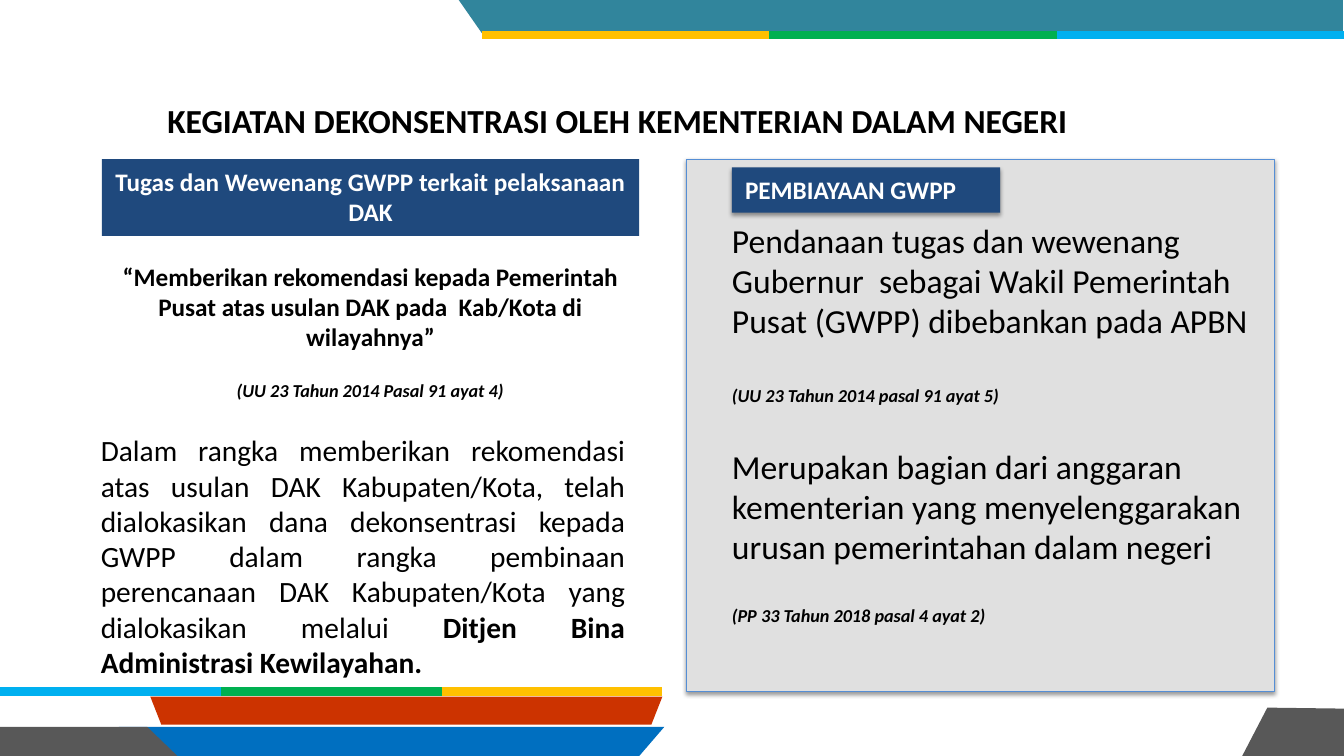
from dataclasses import dataclass

from lxml.etree import SubElement
from pptx import Presentation
from pptx.dml.color import RGBColor
from pptx.enum.shapes import MSO_CONNECTOR, MSO_SHAPE
from pptx.enum.text import MSO_ANCHOR, PP_ALIGN
from pptx.oxml.ns import qn
from pptx.util import Inches, Pt

NAVY, WHITE, BLACK = "1F497D", "FFFFFF", "000000"
AMBER, GREEN, SKY = "FFC000", "00B050", "00B0F0"
Box = tuple[float, float, float, float]


@dataclass
class Band:
    color: str
    points: list[tuple[float, float]]


@dataclass
class Stripe:
    left: float
    y: float
    step: float
    colors: list[str]


@dataclass
class Run:
    text: str
    size: float
    bold: bool = False
    italic: bool = False
    color: str = BLACK


@dataclass
class Passage:
    box: Box
    runs: list[Run]
    align: PP_ALIGN = PP_ALIGN.LEFT


@dataclass
class Heading:
    passage: Passage
    shadow: bool = False


def rgb(color: str) -> RGBColor:
    return RGBColor.from_string(color)


def place(shape, box: Box) -> None:
    shape.left, shape.top, shape.width, shape.height = map(Inches, box)


def write(shape, passage: Passage, anchor=MSO_ANCHOR.TOP) -> None:
    frame = shape.text_frame
    frame.word_wrap = True
    frame.vertical_anchor = anchor
    frame.margin_left = frame.margin_right = Inches(0.13)
    frame.margin_top = frame.margin_bottom = Inches(0.07)
    paragraph = frame.paragraphs[0]
    paragraph.alignment = passage.align
    for part in passage.runs:
        run = paragraph.add_run()
        run.text = part.text
        font = run.font
        font.name, font.size = "Calibri", Pt(part.size)
        font.bold, font.italic = part.bold, part.italic
        font.color.rgb = rgb(part.color)


def draw_band(slide, band: Band) -> None:
    start, *rest = [(Inches(x), Inches(y)) for x, y in band.points]
    builder = slide.shapes.build_freeform(*start, scale=1.0)
    builder.add_line_segments(rest, close=True)
    shape = builder.convert_to_shape()
    shape.shadow.inherit = False
    shape.fill.solid()
    shape.fill.fore_color.rgb = rgb(band.color)
    shape.line.fill.background()


def draw_stripe(slide, stripe: Stripe) -> None:
    y = Inches(stripe.y)
    for i, color in enumerate(stripe.colors):
        x = stripe.left + i * stripe.step
        line = slide.shapes.add_connector(
            MSO_CONNECTOR.STRAIGHT, Inches(x), y, Inches(x + stripe.step), y)
        line.line.color.rgb = rgb(color)
        line.line.width = Pt(6)
        SubElement(line._element.spPr, qn("a:effectLst"))


def draw_rectangle(slide, box: Box, fill: str, border: str = "", shadow: bool = False):
    shape = slide.shapes.add_shape(MSO_SHAPE.RECTANGLE, *map(Inches, box))
    shape.fill.solid()
    shape.fill.fore_color.rgb = rgb(fill)
    if border:
        shape.line.color.rgb = rgb(border)
        shape.line.width = Pt(0.75)
    else:
        shape.line.fill.background()
    shape.shadow.inherit = False
    if shadow:
        effects = shape._element.spPr.find(qn("a:effectLst"))
        outer = SubElement(effects, qn("a:outerShdw"), blurRad=str(Pt(3.1)),
                           dist=str(Pt(1.6)), dir="5400000", rotWithShape="0")
        tint = SubElement(outer, qn("a:srgbClr"), val=BLACK)
        SubElement(tint, qn("a:alpha"), val="38000")
    return shape


def citation(left: float, top: float, text: str, align=PP_ALIGN.LEFT) -> Passage:
    return Passage((left, top, 4.26, 0.36), [Run(text, 13, True, True)], align)


BANDS = [
    Band("006FC0", [(6.59, 7.21), (1.18, 7.21), (1.18, 7.5), (6.34, 7.5)]),
    Band("585858", [(1.46, 7.21), (0, 7.21), (0, 7.5), (1.76, 7.5)]),
    Band("585858", [(12.57, 7.02), (12.32, 7.5), (13.33, 7.5), (13.33, 7.03)]),
    Band("31859C", [(4.55, 0), (13.32, 0), (13.32, 0.31), (4.78, 0.33)]),
    Band("CC3300", [(1.49, 6.91), (6.57, 6.91), (6.46, 7.19), (1.6, 7.19)]),
]
STRIPES = [
    Stripe(4.78, 0.35, 2.85, [AMBER, GREEN, SKY]),
    Stripe(0, 6.86, 2.19, [SKY, GREEN, AMBER]),
]
TITLE = Passage(
    (0.5, 0.81, 11.25, 0.77),
    [Run("KEGIATAN DEKONSENTRASI OLEH KEMENTERIAN DALAM NEGERI", 24, True)],
    PP_ALIGN.CENTER)
HEADINGS = [
    Heading(Passage((7.26, 1.66, 2.66, 0.45),
                    [Run("PEMBIAYAAN GWPP", 18, True, color=WHITE)]), shadow=True),
    Heading(Passage((1.01, 1.58, 5.33, 0.76),
                    [Run("Tugas dan Wewenang GWPP terkait pelaksanaan DAK",
                         18, True, color=WHITE)], PP_ALIGN.CENTER)),
]
PASSAGES = [
    # Funding, right column
    Passage((7.13, 2.11, 5.42, 1.75),
            [Run("Pendanaan tugas dan wewenang Gubernur  sebagai Wakil Pemerintah "
                 "Pusat (GWPP) dibebankan pada APBN", 24)]),
    citation(7.13, 3.74, "(UU 23 Tahun 2014 pasal 91 ayat 5)"),
    Passage((7.13, 4.35, 5.42, 1.35),
            [Run("Merupakan bagian dari anggaran kementerian yang menyelenggarakan "
                 "urusan pemerintahan dalam negeri", 24)]),
    citation(7.13, 5.93, "(PP 33 Tahun 2018 pasal 4 ayat 2)"),
    # Duties and authority, left column
    Passage((1.01, 2.52, 5.33, 1.08),
            [Run("“Memberikan rekomendasi kepada Pemerintah Pusat atas usulan DAK "
                 "pada  Kab/Kota di wilayahnya”", 18, True)], PP_ALIGN.CENTER),
    citation(1.54, 3.69, "(UU 23 Tahun 2014 Pasal 91 ayat 4)", PP_ALIGN.CENTER),
    Passage((0.87, 4.22, 5.46, 2.61),
            [Run("Dalam rangka memberikan rekomendasi atas usulan DAK Kabupaten/Kota, "
                 "telah dialokasikan dana dekonsentrasi kepada GWPP dalam rangka "
                 "pembinaan perencanaan DAK Kabupaten/Kota yang dialokasikan melalui ", 21),
             Run("Ditjen Bina Administrasi Kewilayahan.", 21, True)], PP_ALIGN.JUSTIFY),
]


def main() -> None:
    deck = Presentation()
    deck.slide_width, deck.slide_height = Inches(13.33), Inches(7.5)
    slide = deck.slides.add_slide(deck.slide_layouts[5])

    # Page frame
    for band in BANDS:
        draw_band(slide, band)
    for stripe in STRIPES:
        draw_stripe(slide, stripe)

    # Title
    title = slide.shapes.title
    place(title, TITLE.box)
    write(title, TITLE, MSO_ANCHOR.MIDDLE)

    # Funding panel and column headings
    draw_rectangle(slide, (6.81, 1.58, 5.83, 5.28), "E0E0E0", "558ED5", shadow=True)
    for heading in HEADINGS:
        plate = draw_rectangle(slide, heading.passage.box, NAVY, shadow=heading.shadow)
        write(plate, heading.passage)

    # Body text
    for passage in PASSAGES:
        write(slide.shapes.add_textbox(*map(Inches, passage.box)), passage)

    deck.save("out.pptx")


if __name__ == "__main__":
    main()
